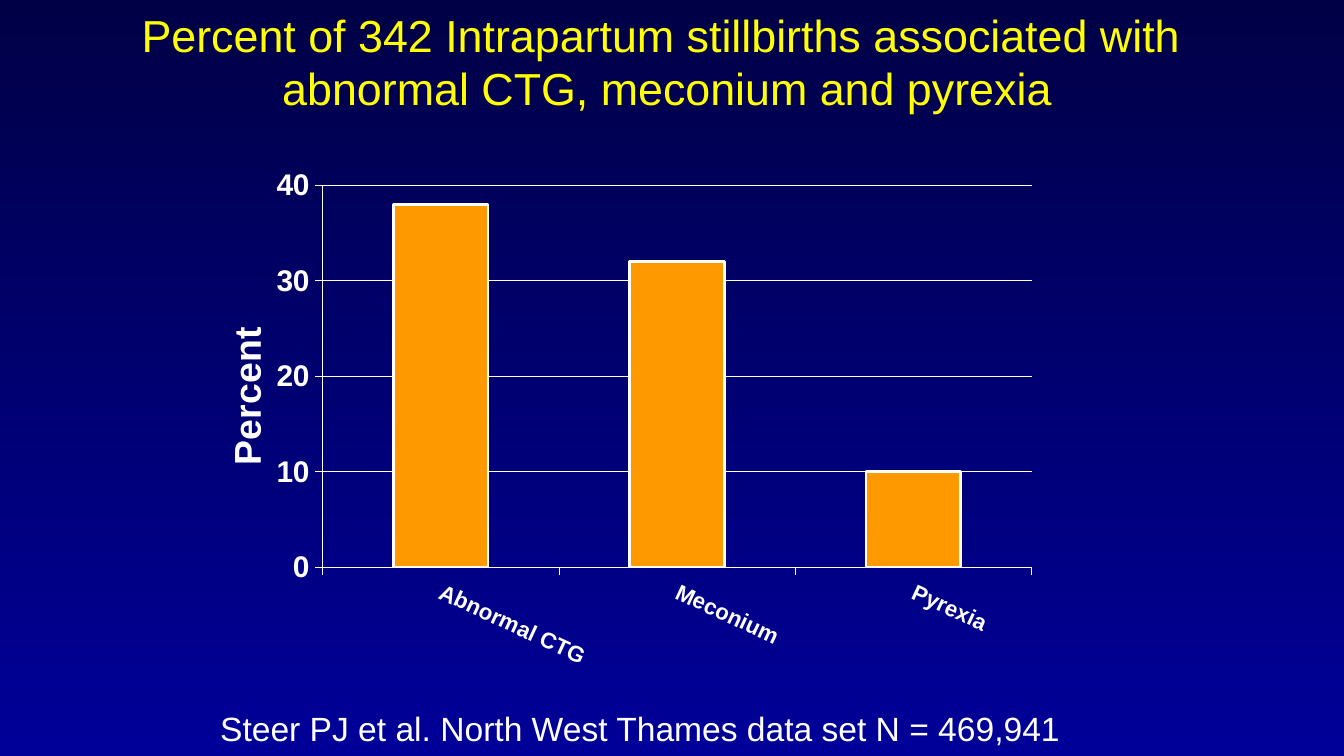
from lxml.etree import SubElement
from pptx import Presentation
from pptx.chart.data import CategoryChartData as ChartData
from pptx.dml.color import RGBColor
from pptx.enum.chart import XL_CHART_TYPE as Kind, XL_TICK_LABEL_POSITION as Label, XL_TICK_MARK as Tick
from pptx.enum.text import MSO_ANCHOR as Anchor, MSO_AUTO_SIZE as Fit, PP_ALIGN as Align
from pptx.oxml.ns import qn
from pptx.util import Emu, Pt

SCALE = 914400 / 134.4
WHITE, YELLOW, ORANGE = "FFFFFF", "FFFF00", "FF9900"


def px(n):
    return Emu(round(n * SCALE))


def rgb(code):
    return RGBColor.from_string(code)


class Deck:
    """Holds the house style and the current slide."""

    face = "Arial"

    def __init__(self, wide, high):
        self.prs = Presentation()
        self.prs.slide_width, self.prs.slide_height = px(wide), px(high)
        self.slide = self.prs.slides.add_slide(self.prs.slide_layouts[5])

    def back(self, top, base):
        fill = self.slide.background.fill
        fill.gradient()
        fill.gradient_angle = 270
        for stop, code in zip(fill.gradient_stops, (top, base)):
            stop.color.rgb = rgb(code)

    def font(self, font, size, code=WHITE, bold=False):
        font.name, font.size, font.bold = self.face, Pt(size), bold
        font.color.rgb = rgb(code)

    def line(self, line, width):
        line.width = Pt(width)
        line.color.rgb = rgb(WHITE)

    def title(self, rows, box, size):
        shape = self.slide.shapes.title
        shape.left, shape.top, shape.width, shape.height = map(px, box)
        frame = shape.text_frame
        frame.auto_size, frame.vertical_anchor = Fit.NONE, Anchor.MIDDLE
        par = frame.paragraphs[0]
        par.alignment = Align.CENTER
        for i, row in enumerate(rows):
            if i:
                par.add_line_break()
            run = par.add_run()
            run.text = row
            self.font(run.font, size, YELLOW)

    def text(self, words, box, size):
        frame = self.slide.shapes.add_textbox(*map(px, box)).text_frame
        frame.word_wrap, frame.auto_size = False, Fit.SHAPE_TO_FIT_TEXT
        run = frame.paragraphs[0].add_run()
        run.text = words
        self.font(run.font, size)

    def place(self, node, **spots):
        layout = node.find(qn("c:layout"))
        if layout is None:
            layout = node.makeelement(qn("c:layout"))
            index = 1 if node.find(qn("c:tx")) is not None else 0
            node.insert(index, layout)
        for child in list(layout):
            layout.remove(child)
        manual = SubElement(layout, qn("c:manualLayout"))
        for tag, val in spots.items():
            SubElement(manual, qn("c:" + tag)).set("val", str(val))

    def axis(self, axis, size):
        axis.major_tick_mark, axis.minor_tick_mark = Tick.OUTSIDE, Tick.NONE
        self.line(axis.format.line, 0.35)
        self.font(axis.tick_labels.font, size, bold=True)

    def chart(self, cats, vals, name, box):
        data = ChartData()
        data.categories = cats
        data.add_series("Series 1", vals)
        chart = self.slide.shapes.add_chart(Kind.COLUMN_CLUSTERED, *map(px, box), data).chart
        chart.has_legend = chart.has_title = False
        self.font(chart.font, 23.2, bold=True)
        plot = chart.plots[0]
        plot.gap_width, plot.vary_by_categories = 150, False
        bars = plot.series[0].format
        bars.fill.solid()
        bars.fill.fore_color.rgb = rgb(ORANGE)
        self.line(bars.line, 1.41)

        cat, val = chart.category_axis, chart.value_axis
        self.axis(cat, 12)
        self.axis(val, 16)
        cat.tick_label_position = Label.LOW
        val.minimum_scale, val.maximum_scale, val.major_unit = 0, 40, 10
        val.has_major_gridlines = True
        self.line(val.major_gridlines.format.line, 0.35)
        frame = val.axis_title.text_frame
        run = frame.paragraphs[0].add_run()
        run.text = name
        self.font(run.font, 20, bold=True)

        area = chart.element.find(".//" + qn("c:plotArea"))
        turn = area.find(qn("c:catAx") + "/" + qn("c:txPr") + "/" + qn("a:bodyPr"))
        turn.set("rot", "1500000")
        turn.set("vert", "horz")
        head = area.find(qn("c:valAx") + "/" + qn("c:title"))
        head.find(".//" + qn("a:bodyPr")).set("rot", "-5400000")
        self.place(head, xMode="edge", yMode="edge", x=0, y=0.35)
        self.place(area, layoutTarget="inner", xMode="edge", yMode="edge",
                   x=0.115, y=0.103, w=0.766, h=0.698)


def main():
    deck = Deck(1344, 756)
    deck.back("000047", "000099")
    deck.chart(("Abnormal CTG", "Meconium", "Pyrexia"), (38, 32, 10),
               "Percent", (216, 129, 926, 547))
    deck.title(("Percent of 342 Intrapartum stillbirths associated with ",
                "abnormal CTG, meconium and pyrexia"), (16, 20, 1302, 82), 24)
    deck.text("Steer PJ et al. North West Thames data set N = 469,941",
              (207, 701, 875, 54), 18)
    deck.prs.save("out.pptx")


if __name__ == "__main__":
    main()
